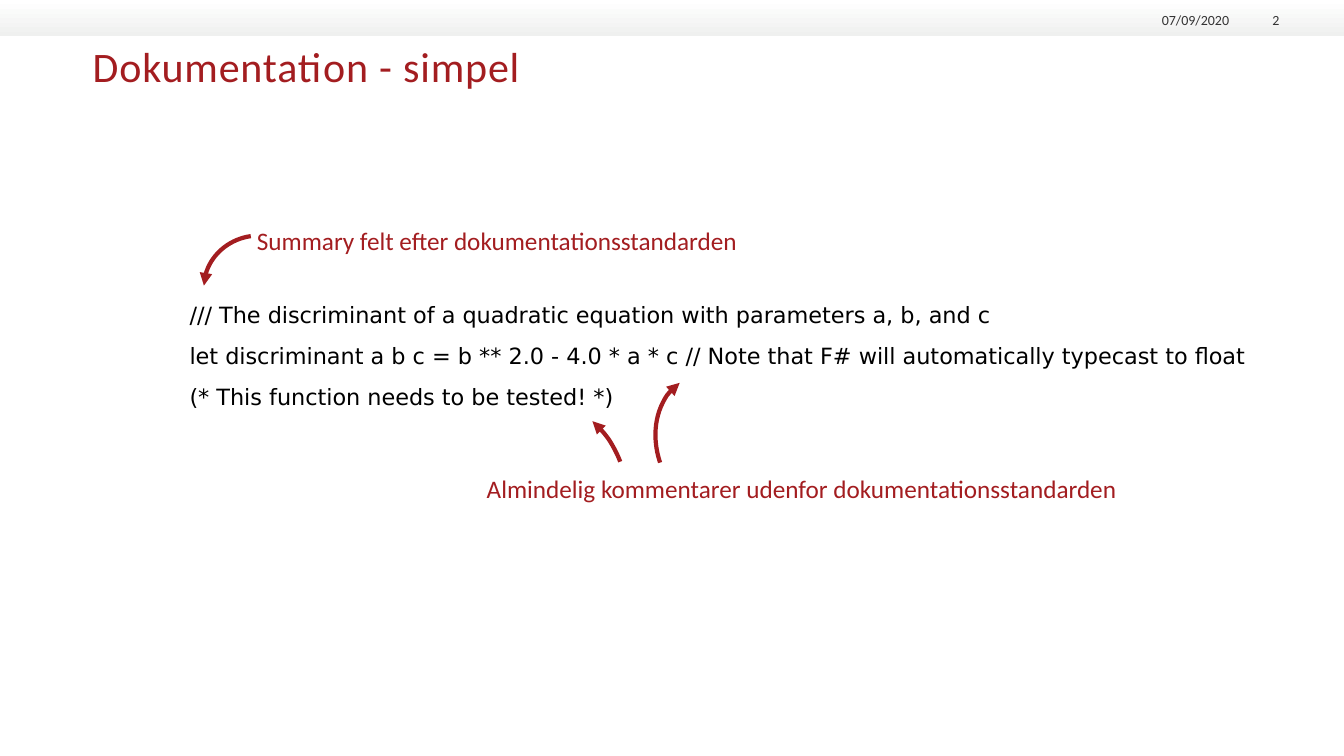
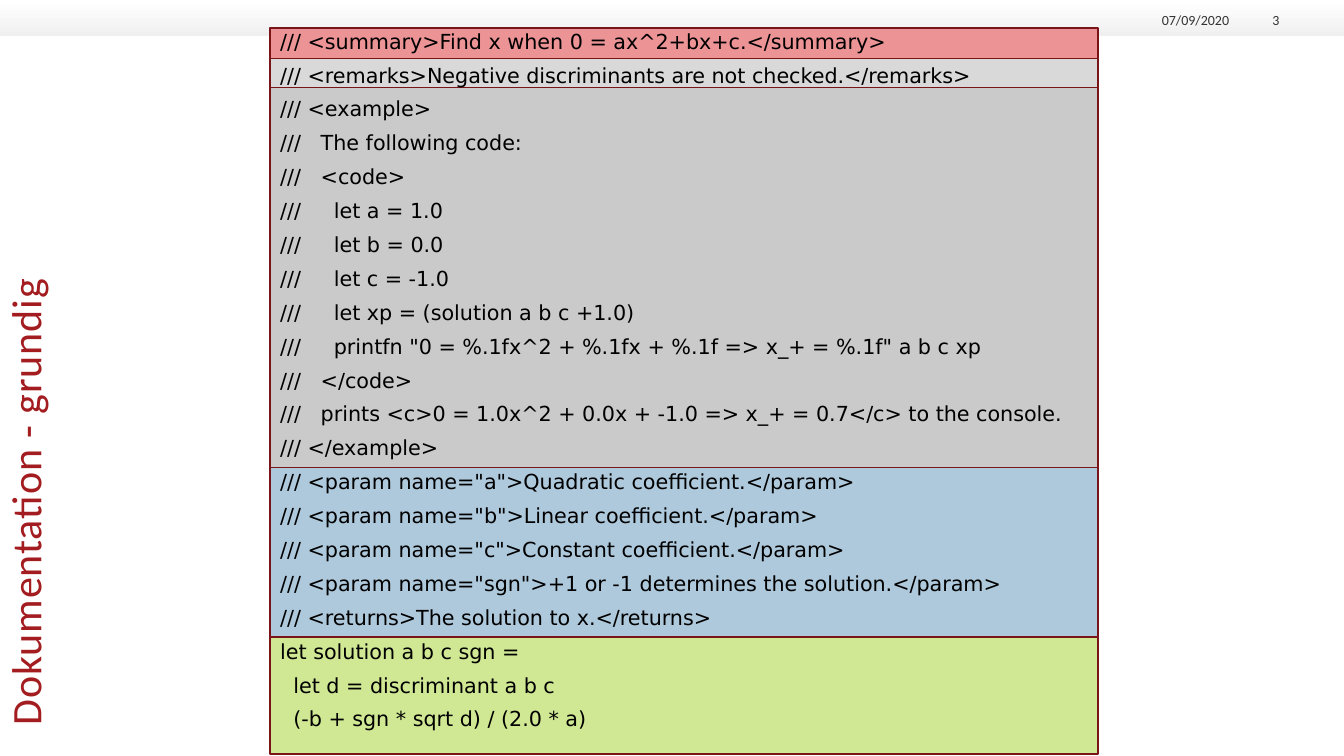
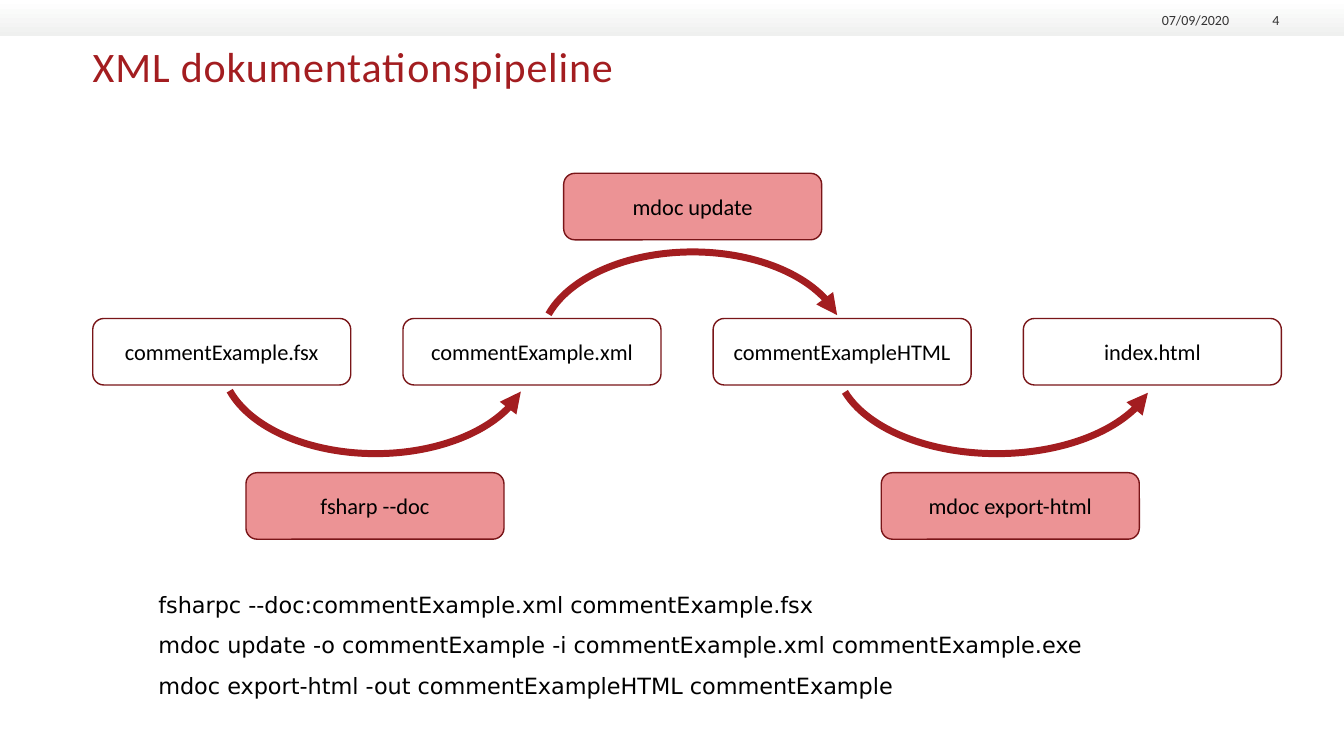
import lxml.etree
import pptx
import pptx.dml.color
import pptx.enum.shapes
import pptx.enum.text
import pptx.oxml.ns
import pptx.util

RGB = pptx.dml.color.RGBColor
Pt = pptx.util.Pt
KIND = pptx.enum.shapes.MSO_SHAPE
ALIGN = pptx.enum.text.PP_ALIGN
ANCHOR = pptx.enum.text.MSO_ANCHOR
qn = pptx.oxml.ns.qn

RED = RGB(0xA3, 0x1D, 0x20)
DARK = RGB(0x79, 0x15, 0x18)
PINK = RGB(0xEC, 0x93, 0x95)
PALE = RGB(0xD9, 0xD9, 0xD9)
GREY = RGB(0xCA, 0xCA, 0xCA)
BLUE = RGB(0xAE, 0xC9, 0xDC)
GREEN = RGB(0xD0, 0xE8, 0x94)
BLACK = RGB(0, 0, 0)
SMOKE = RGB(0x33, 0x33, 0x33)
WHITE = RGB(0xFF, 0xFF, 0xFF)
MIST = RGB(0xEF, 0xF0, 0xEF)
SANS = "Calibri"
CODE = "DejaVu Sans"

deck = pptx.Presentation()
deck.slide_width = pptx.util.Inches(13.33)
deck.slide_height = pptx.util.Inches(7.5)


def at(left, top, wide, high):
    """Turn percent of the slide's width and height into lengths."""
    col, row = deck.slide_width / 100, deck.slide_height / 100
    return int(left * col), int(top * row), int(wide * col), int(high * row)


def write(shape, lines, size, hue, face=SANS, align=ALIGN.LEFT,
          anchor=ANCHOR.TOP, inset=True, wrap=True, gap=0, lead=None):
    frame = shape.text_frame
    frame.auto_size = pptx.enum.text.MSO_AUTO_SIZE.NONE
    frame.word_wrap = wrap
    frame.vertical_anchor = anchor
    if not inset:
        frame.margin_left = frame.margin_right = 0
        frame.margin_top = frame.margin_bottom = 0
    frame.text = "\n".join(lines)
    for spot, para in enumerate(frame.paragraphs):
        props = para._p.get_or_add_pPr()
        props.set("marL", "0")
        props.set("indent", "0")
        lxml.etree.SubElement(props, qn("a:buNone"))
        para.alignment = align
        para.space_before = Pt(gap if spot else 0)
        if lead:
            para.line_spacing = lead
        para.font.size = Pt(size)
        para.font.name = face
        para.font.color.rgb = hue


# Title, title place, title turn, code, code place, code size, line spacing
HEAD = (6.9, 5.33, 86.27, 19.33)
pages = [
    ("Dokumentation - simpel", HEAD, 0, [
        "/// The discriminant of a quadratic equation with parameters a, b, and c",
        "let discriminant a b c = b ** 2.0 - 4.0 * a * c // Note that F# will automatically typecast to float",
        "(* This function needs to be tested! *)",
    ], (13.35, 39.2, 83.95, 15.87), 16, None),
    ("Dokumentation - grundig", (-20.86, 39.6, 52.51, 19.33), 270, [
        "/// <summary>Find x when 0 = ax^2+bx+c.</summary>",
        "/// <remarks>Negative discriminants are not checked.</remarks>",
        "/// <example>",
        "///   The following code:",
        "///   <code>",
        "///     let a = 1.0",
        "///     let b = 0.0",
        "///     let c = -1.0",
        "///     let xp = (solution a b c +1.0)",
        '///     printfn "0 = %.1fx^2 + %.1fx + %.1f => x_+ = %.1f" a b c xp',
        "///   </code>",
        "///   prints <c>0 = 1.0x^2 + 0.0x + -1.0 => x_+ = 0.7</c> to the console.",
        "/// </example>",
        '/// <param name="a">Quadratic coefficient.</param>',
        '/// <param name="b">Linear coefficient.</param>',
        '/// <param name="c">Constant coefficient.</param>',
        '/// <param name="sgn">+1 or -1 determines the solution.</param>',
        "/// <returns>The solution to x.</returns>",
        "let solution a b c sgn =",
        "  let d = discriminant a b c",
        "  (-b + sgn * sqrt d) / (2.0 * a)",
    ], (20.1, 3.73, 72.39, 96.27), 14.8, 0.8),
    ("XML dokumentationspipeline", HEAD, 0, [
        "fsharpc --doc:commentExample.xml commentExample.fsx",
        "mdoc update -o commentExample -i commentExample.xml commentExample.exe",
        "mdoc export-html -out commentExampleHTML commentExample",
    ], (11.03, 77.47, 76.29, 18.53), 16, None),
]

# Shared parts: band, date, number, title and code
for count, (name, spot, turn, code, area, size, lead) in enumerate(pages, 2):
    slide = deck.slides.add_slide(deck.slide_layouts[1])

    band = slide.shapes.add_shape(KIND.RECTANGLE, *at(0, 0, 100, 4.8))
    band.shadow.inherit = False
    band.line.fill.background()
    band.fill.gradient()
    band.fill.gradient_angle = 270
    for stop, hue in zip(band.fill.gradient_stops, (WHITE, MIST)):
        stop.color.rgb = hue

    for left, wide, text in ((84.77, 6.68, "07/09/2020"), (92.05, 3.15, str(count))):
        note = slide.shapes.add_textbox(*at(left, 1.2, wide, 2.53))
        write(note, [text], 10, SMOKE, align=ALIGN.RIGHT,
              anchor=ANCHOR.BOTTOM, inset=False)

    title = slide.shapes.title
    title.left, title.top, title.width, title.height = at(*spot)
    title.rotation = turn
    write(title, [name], 30, RED, inset=False)
    title.text_frame.paragraphs[0].runs[0]._r.get_or_add_rPr().set("spc", "60")

    body = slide.placeholders[1]
    body.left, body.top, body.width, body.height = at(*area)
    write(body, code, size, BLACK, CODE, gap=10, lead=lead)

simple, full, flow = deck.slides

# Labels beside the simple code
for left, top, wide, text in (
    (18.38, 29.2, 37.66, "Summary felt efter dokumentationsstandarden"),
    (35.48, 62, 48.91, "Almindelig kommentarer udenfor dokumentationsstandarden"),
):
    label = simple.shapes.add_textbox(*at(left, top, wide, 5.33))
    write(label, [text], 18, RED, wrap=False)

# Coloured panels stacked behind the full code
edges = [3.73, 7.73, 11.6, 61.87, 84.27, 99.73]
for top, end, hue in zip(edges, edges[1:], (PINK, PALE, GREY, BLUE, GREEN)):
    panel = full.shapes.add_shape(KIND.RECTANGLE, *at(20.1, top, 61.59, end - top))
    panel.shadow.inherit = False
    panel.fill.solid()
    panel.fill.fore_color.rgb = hue
    panel.line.color.rgb = DARK
    panel.line.width = Pt(1)
full.shapes._spTree.append(full.placeholders[1].element)

# Files in one row, tools above and below
files = ["commentExample.fsx", "commentExample.xml", "commentExampleHTML", "index.html"]
steps = [(6.9 + 23.08 * col, 42.13, text, None) for col, text in enumerate(files)]
steps += [
    (18.3, 62.53, "fsharp --doc", PINK),
    (41.94, 22.93, "mdoc update", PINK),
    (65.57, 62.53, "mdoc export-html", PINK),
]
for left, top, text, hue in steps:
    box = flow.shapes.add_shape(KIND.ROUNDED_RECTANGLE, *at(left, top, 19.2, 8.8))
    box.shadow.inherit = False
    if hue:
        box.fill.solid()
        box.fill.fore_color.rgb = hue
    else:
        box.fill.background()
    box.line.color.rgb = DARK
    box.line.width = Pt(1)
    write(box, [text], 16, BLACK, align=ALIGN.CENTER, anchor=ANCHOR.MIDDLE)

# Curved arrows: slide, place, turn, mirrored, start, end, arrow end, width
SWEEP = (115.03, 209.18)
arcs = [
    (simple, (15.45, 30.67, 7.28, 14), 254.1, True, (102.52, 152.99), "tailEnd", 3),
    (simple, (47.94, 50.93, 11.48, 16.53), 62.2, True, (3.02, 45.61), "headEnd", 3),
    (simple, (36.16, 55.47, 11.63, 15.2), 62.2, True, (154.35, 183.14), "tailEnd", 3),
    (flow, (16.5, 35.6, 22.88, 24.4), 180, False, SWEEP, "headEnd", 5),
    (flow, (40.21, 33.33, 22.66, 24.4), 0, False, SWEEP, "tailEnd", 5),
    (flow, (62.19, 35.6, 23.93, 24.4), 180, False, SWEEP, "headEnd", 5),
]
for slide, spot, turn, flip, sweep, tip, wide in arcs:
    arc = slide.shapes.add_shape(KIND.ARC, *at(*spot))
    arc.shadow.inherit = False
    arc.adjustments[0], arc.adjustments[1] = sweep
    arc.rotation = turn
    if flip:
        arc.element.spPr.xfrm.set("flipH", "1")
    arc.fill.background()
    arc.line.color.rgb = RED
    arc.line.width = Pt(wide)
    line = arc.line._get_or_add_ln()
    lxml.etree.SubElement(line, qn("a:" + tip)).set("type", "triangle")

deck.save("out.pptx")
